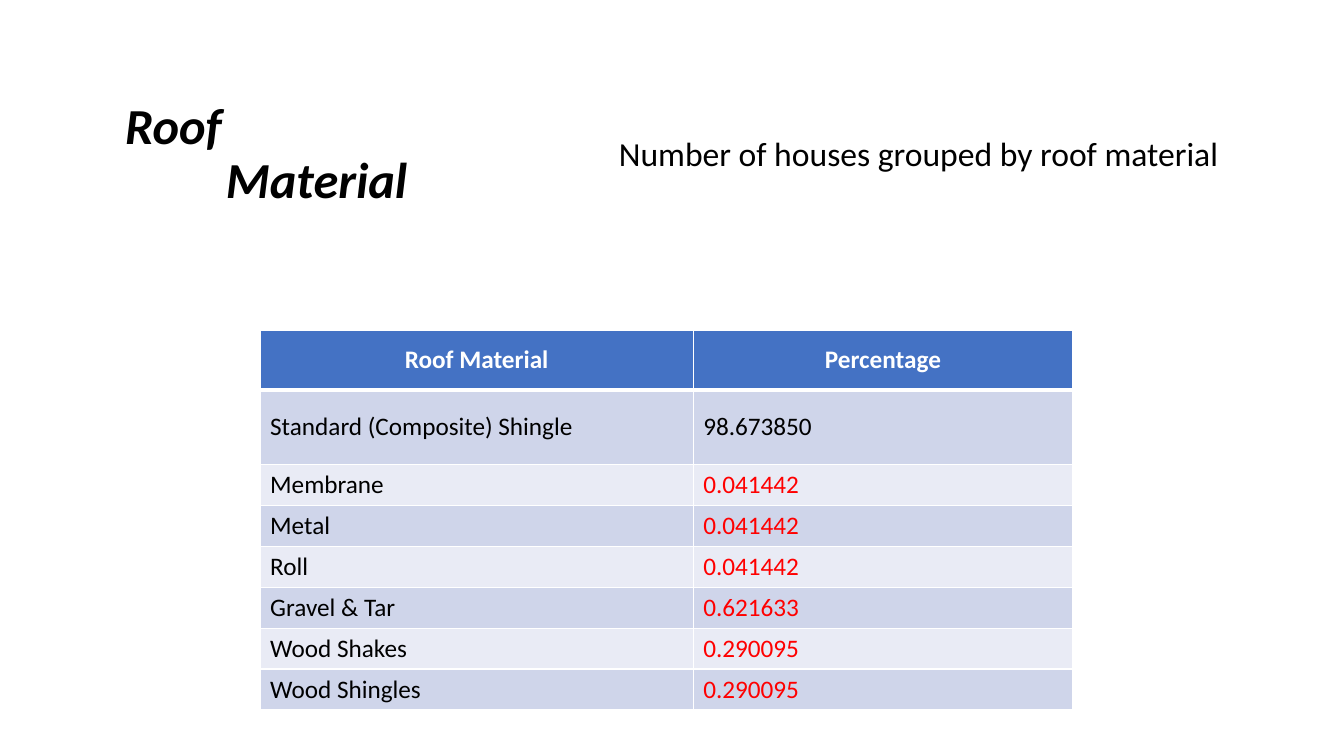
from dataclasses import dataclass

from lxml.etree import SubElement
from pptx import Presentation
from pptx.dml.color import RGBColor
from pptx.enum.text import MSO_ANCHOR, MSO_AUTO_SIZE, PP_ALIGN
from pptx.oxml.ns import qn
from pptx.util import Inches, Pt

SLIDE_WIDTH, SLIDE_HEIGHT = Inches(13.33), Inches(7.5)


@dataclass(frozen=True)
class Theme:
    font: str = "Calibri"
    title_size: int = 36
    subtitle_size: int = 24
    table_size: int = 18
    text: str = "000000"
    light: str = "FFFFFF"
    alert: str = "FF0000"
    header: str = "4472C4"
    bands: tuple = ("CFD5EA", "E9EBF5")
    border: float = 1
    header_border: float = 3


THEME = Theme()

HEADINGS = ("Roof Material", "Percentage")
ROOF_SHARES = (
    ("Standard (Composite) Shingle", "98.673850"),
    ("Membrane", "0.041442"),
    ("Metal", "0.041442"),
    ("Roll", "0.041442"),
    ("Gravel & Tar", "0.621633"),
    ("Wood Shakes", "0.290095"),
    ("Wood Shingles", "0.290095"),
)
COLUMN_SHARES = (0.533, 0.467)
HEADER_HEIGHT, FIRST_ROW_HEIGHT, ROW_HEIGHT = 0.59, 0.74, 0.33


def slide_box(left, top, width, height):
    """Turn shares of the slide's size into a box."""
    return (int(left * SLIDE_WIDTH), int(top * SLIDE_HEIGHT),
            int(width * SLIDE_WIDTH), int(height * SLIDE_HEIGHT))


def apply_format(target, values):
    for name, value in values.items():
        setattr(target, name, value)


def style_text(paragraph, size, color, align, **font_values):
    paragraph.alignment = align
    font = paragraph.font
    apply_format(font, {"name": THEME.font, "size": Pt(size), **font_values})
    font.color.rgb = RGBColor.from_string(color)


def place_text(shape, box, text):
    """Place a shape, set its text and return its paragraph."""
    apply_format(shape, dict(zip(("left", "top", "width", "height"), box)))
    frame = shape.text_frame
    apply_format(frame, {
        "text": text,
        "word_wrap": True,
        "auto_size": MSO_AUTO_SIZE.NONE,
        "vertical_anchor": MSO_ANCHOR.MIDDLE,
    })
    paragraph = frame.paragraphs[0]
    paragraph.line_spacing = 0.9
    return paragraph


def add_title(slide, box):
    paragraph = place_text(slide.shapes.title, box, "Roof \v\tMaterial")
    # Tab stop that indents the second line
    tab_list = SubElement(paragraph._p.get_or_add_pPr(), qn("a:tabLst"))
    SubElement(tab_list, qn("a:tab"), pos=str(Inches(1)), algn="l")
    style_text(paragraph, THEME.title_size, THEME.text, PP_ALIGN.LEFT,
               bold=True, italic=True)


def add_subtitle(slide, box):
    paragraph = place_text(slide.shapes.add_textbox(*box), box,
                           "Number of houses grouped by roof material")
    style_text(paragraph, THEME.subtitle_size, THEME.text, PP_ALIGN.CENTER)


def set_borders(cell, top, bottom):
    properties = cell._tc.get_or_add_tcPr()
    widths = {"lnL": THEME.border, "lnR": THEME.border, "lnT": top, "lnB": bottom}
    for side, width in widths.items():
        line = SubElement(properties, qn(f"a:{side}"), w=str(Pt(width)))
        fill = SubElement(line, qn("a:solidFill"))
        SubElement(fill, qn("a:srgbClr"), val=THEME.light)


def style_cell(cell, row, column):
    is_header = row == 0
    set_borders(cell,
                top=THEME.header_border if row == 1 else THEME.border,
                bottom=THEME.header_border if is_header else THEME.border)
    cell.fill.solid()
    cell.fill.fore_color.rgb = RGBColor.from_string(
        THEME.header if is_header else THEME.bands[(row - 1) % 2])
    cell.vertical_anchor = MSO_ANCHOR.MIDDLE
    if is_header:
        color = THEME.light
    else:
        # Minor materials have their share in the alert colour
        color = THEME.alert if column == 1 and row > 1 else THEME.text
    style_text(cell.text_frame.paragraphs[0], THEME.table_size, color,
               PP_ALIGN.CENTER if is_header else PP_ALIGN.LEFT, bold=is_header)


def add_roof_table(slide, box):
    rows = (HEADINGS, *ROOF_SHARES)
    table = slide.shapes.add_table(len(rows), len(HEADINGS), *box).table
    for column, share in zip(table.columns, COLUMN_SHARES):
        column.width = int(share * box[2])
    heights = [HEADER_HEIGHT, FIRST_ROW_HEIGHT] + [ROW_HEIGHT] * (len(rows) - 2)
    for row, height in zip(table.rows, heights):
        row.height = Inches(height)
    for row, values in enumerate(rows):
        for column, value in enumerate(values):
            cell = table.cell(row, column)
            cell.text = value
            style_cell(cell, row, column)


def main():
    presentation = Presentation()
    apply_format(presentation, {"slide_width": SLIDE_WIDTH,
                                "slide_height": SLIDE_HEIGHT})
    slide = presentation.slides.add_slide(presentation.slide_layouts[5])

    # Heading band
    heading_top, heading_height = 0.7 / 7.5, 1.68 / 7.5
    add_title(slide, slide_box(1.14 / 13.33, heading_top, 3.95 / 13.33, heading_height))
    add_subtitle(slide, slide_box(5.8 / 13.33, heading_top, 6.62 / 13.33, heading_height))

    # Table of roof materials
    add_roof_table(slide, slide_box(2.58 / 13.33, 3.28 / 7.5, 8.06 / 13.33, 3.73 / 7.5))

    presentation.save("out.pptx")


if __name__ == "__main__":
    main()
